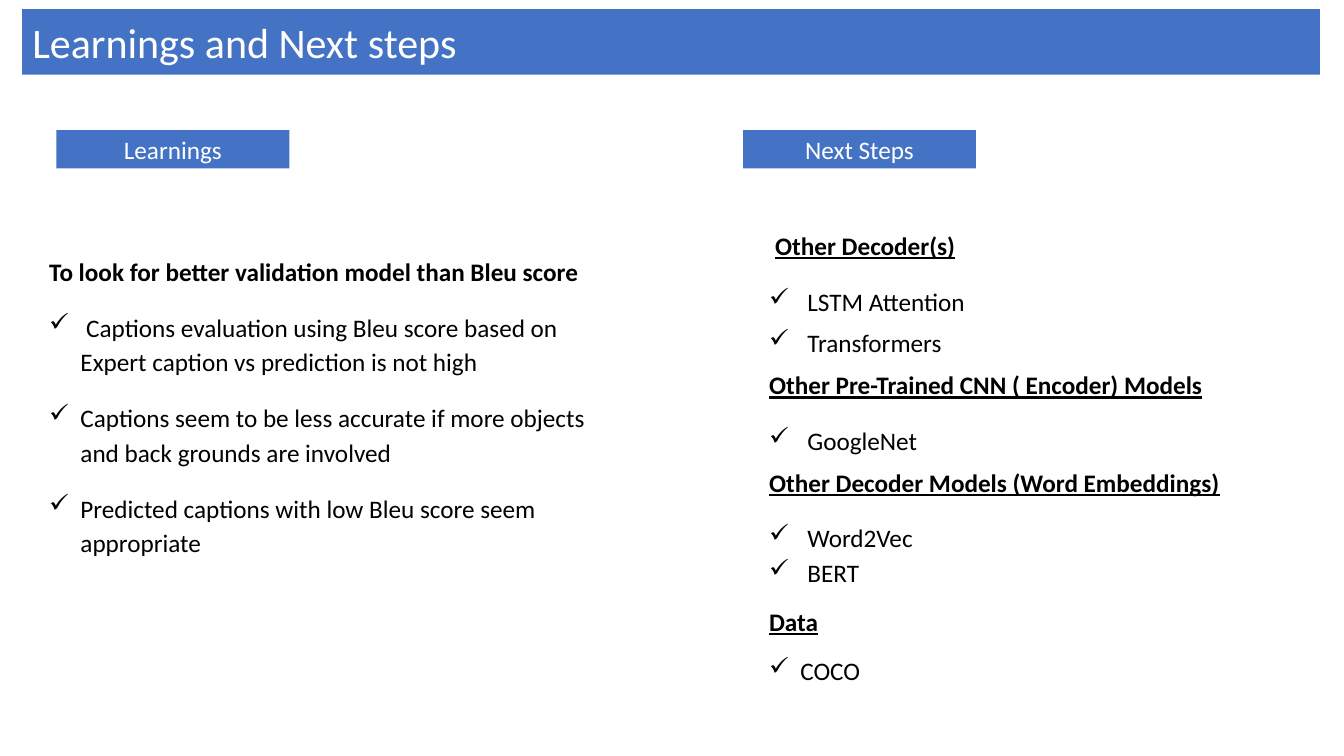
import pptx
import pptx.util
import pptx.dml.color
import pptx.enum.shapes
import pptx.enum.text
import pptx.oxml.ns
import lxml.etree

Inches = pptx.util.Inches
Pt = pptx.util.Pt
PP_ALIGN = pptx.enum.text.PP_ALIGN
ANCHOR = pptx.enum.text.MSO_ANCHOR
COLORS = {"banner": "4472C4", "light": "FFFFFF", "text": "000000"}


def add_run(paragraph, text, size, color):
    run = paragraph.add_run()
    run.text = text
    run.font.name = "Calibri"
    run.font.size = Pt(size)
    run.font.color.rgb = pptx.dml.color.RGBColor.from_string(COLORS[color])
    return run


def fill_banner(shape, text, size, alignment):
    """Give a shape the banner fill and one line of light text."""
    shape.fill.solid()
    shape.fill.fore_color.rgb = pptx.dml.color.RGBColor.from_string(COLORS["banner"])
    shape.line.fill.background()
    shape.text_frame.vertical_anchor = ANCHOR.MIDDLE
    paragraph = shape.text_frame.paragraphs[0]
    paragraph.alignment = alignment
    add_run(paragraph, text, size, "light")


presentation = pptx.Presentation()
presentation.slide_width = Inches(13.33)
presentation.slide_height = Inches(7.5)
slide = presentation.slides.add_slide(presentation.slide_layouts[5])

title = slide.shapes.title
title.left, title.top = Inches(0.22), Inches(0.09)
title.width, title.height = Inches(12.87), Inches(0.65)
fill_banner(title, "Learnings and Next steps", 30, PP_ALIGN.LEFT)

for left, label in ((0.56, "Learnings"), (7.37, "Next Steps")):
    shape = slide.shapes.add_shape(
        pptx.enum.shapes.MSO_SHAPE.RECTANGLE,
        Inches(left), Inches(1.29), Inches(2.31), Inches(0.38))
    shape.shadow.inherit = False
    fill_banner(shape, label, 18, PP_ALIGN.CENTER)

# Each paragraph: text, is heading, left indent, space before, space after
learnings = [
    ("To look for better validation model than Bleu score", True, 0, 0, 10),
    (" Captions evaluation using Bleu score based on Expert caption vs prediction is not high",
     False, 0.31, 5, 10),
    ("Captions seem to be less accurate if more objects and back grounds are involved",
     False, 0.31, 5, 10),
    ("Predicted captions with low Bleu score seem appropriate", False, 0.31, 5, 10),
]
next_steps = [
    ("Other Decoder(s)", True, 0.06, 0, 10),
    ("LSTM Attention", False, 0.38, 5, 0),
    ("Transformers", False, 0.38, 5, 0),
    ("Other Pre-Trained CNN ( Encoder) Models", True, 0, 5, 10),
    ("GoogleNet", False, 0.38, 5, 0),
    ("Other Decoder Models (Word Embeddings)", True, 0, 5, 10),
    ("Word2Vec", False, 0.38, 5, 0),
    ("BERT", False, 0.38, 0, 10),
    ("Data", True, 0, 0, 10),
    ("COCO", False, 0.31, 0, 10),
]
columns = [
    ((0.39, 1.87, 5.8, 4.29), ANCHOR.MIDDLE, False, learnings),
    ((7.53, 2.19, 5.07, 5.12), ANCHOR.TOP, True, next_steps),
]

for box, anchor, underlined, paragraphs in columns:
    frame = slide.shapes.add_textbox(*map(Inches, box)).text_frame
    frame.word_wrap = True
    frame.vertical_anchor = anchor
    for index, (text, heading, indent, before, after) in enumerate(paragraphs):
        paragraph = frame.add_paragraph() if index else frame.paragraphs[0]
        properties = paragraph._p.get_or_add_pPr()
        properties.set("marL", str(Inches(indent)))
        if not heading:
            properties.set("indent", str(-Inches(indent)))
            bullet = lxml.etree.SubElement(properties, pptx.oxml.ns.qn("a:buChar"))
            bullet.set("char", "✓")
        paragraph.line_spacing = 1.15
        paragraph.space_before = Pt(before)
        paragraph.space_after = Pt(after)
        run = add_run(paragraph, text, 18, "text")
        run.font.bold = heading
        run.font.underline = heading and underlined

presentation.save("out.pptx")
